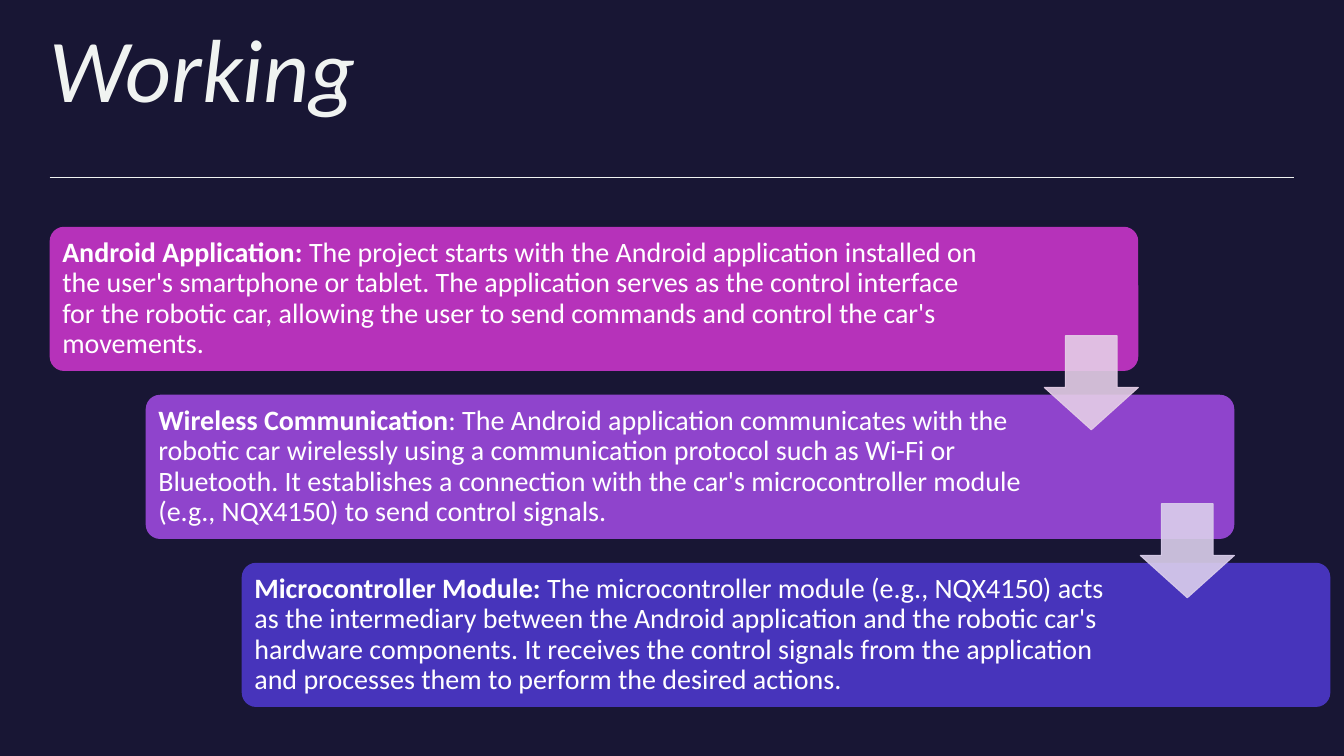
from lxml import etree
from pptx import Presentation
from pptx.dml.color import RGBColor
from pptx.enum import shapes, text
from pptx.oxml.ns import qn
from pptx.util import Pt

NIGHT = RGBColor(0x18, 0x16, 0x34)
IVORY = RGBColor(0xF0, 0xF3, 0xF1)
WHITE = RGBColor(0xFF, 0xFF, 0xFF)
MAGENTA = RGBColor(0xB6, 0x32, 0xBA)
PURPLE = RGBColor(0x8F, 0x44, 0xCC)
INDIGO = RGBColor(0x47, 0x34, 0xBB)
PINK_TINT = RGBColor(0xE5, 0xCE, 0xE7)
LILAC_TINT = RGBColor(0xDB, 0xCF, 0xEC)

CARD_WIDTH, CARD_HEIGHT = 777.6, 103
STEP_RIGHT, STEP_DOWN = 68.6, 120
ARROW_SIZE, ARROW_DROP = 67.2, 77.8

STEPS = [
    (MAGENTA, 666.7, "Android Application: ",
     "The project starts with the Android application installed on the user's "
     "smartphone or tablet. The application serves as the control interface for "
     "the robotic car, allowing the user to send commands and control the car's "
     "movements."),
    (PURPLE, 635.8, "Wireless Communication",
     ": The Android application communicates with the robotic car wirelessly "
     "using a communication protocol such as Wi-Fi or Bluetooth. It establishes "
     "a connection with the car's microcontroller module (e.g., NQX4150) to send "
     "control signals."),
    (INDIGO, 635.8, "Microcontroller Module:",
     " The microcontroller module (e.g., NQX4150) acts as the intermediary between "
     "the Android application and the robotic car's hardware components. It "
     "receives the control signals from the application and processes them to "
     "perform the desired actions."),
]


def write(frame, *spans, size, color, italic=False, inset=0,
          anchor=text.MSO_ANCHOR.TOP):
    """Fill a text frame with one paragraph of (words, bold) spans."""
    frame.word_wrap = True
    frame.auto_size = text.MSO_AUTO_SIZE.NONE
    frame.vertical_anchor = anchor
    frame.margin_left = frame.margin_right = Pt(inset)
    frame.margin_top = frame.margin_bottom = Pt(inset)
    para = frame.paragraphs[0]
    para.alignment = text.PP_ALIGN.LEFT
    para.line_spacing = 0.9
    para.space_before = Pt(0)
    for words, bold in spans:
        span = para.add_run()
        span.text = words
        span.font.name = "Calibri"
        span.font.size = Pt(size)
        span.font.bold = bold
        span.font.italic = italic
        span.font.color.rgb = color


def set_opacity(fill_format, percent):
    """Make a solid fill partly transparent."""
    for color in fill_format.iter(qn("a:srgbClr")):
        etree.SubElement(color, qn("a:alpha")).set("val", str(percent * 1000))


def add_header(page, left, top, width, height):
    """Place the title and the rule under it."""
    title = page.shapes.title
    title.left, title.top = Pt(left), Pt(top)
    title.width, title.height = Pt(width), Pt(78)
    write(title.text_frame, ("Working", False), size=64, color=IVORY, italic=True)
    rule = page.shapes.add_connector(
        shapes.MSO_CONNECTOR.STRAIGHT, Pt(left), Pt(top + height),
        Pt(left + width), Pt(top + height))
    rule.line.color.rgb = IVORY
    rule.line.width = Pt(0.5)
    etree.SubElement(rule._element.spPr, qn("a:effectLst"))


def add_card(page, left, top, color, text_width, heading, body):
    """Place one rounded step card and its text."""
    card = page.shapes.add_shape(
        shapes.MSO_SHAPE.ROUNDED_RECTANGLE, Pt(left), Pt(top),
        Pt(CARD_WIDTH), Pt(CARD_HEIGHT))
    card.adjustments[0] = 0.1
    card.shadow.inherit = False
    card.fill.solid()
    card.fill.fore_color.rgb = color
    card.line.fill.background()
    pad = 3
    box = page.shapes.add_textbox(
        Pt(left + pad), Pt(top + pad), Pt(text_width), Pt(CARD_HEIGHT - 2 * pad))
    write(box.text_frame, (heading, True), (body, False), size=20, color=WHITE,
          inset=6, anchor=text.MSO_ANCHOR.MIDDLE)


def add_arrow(page, left, top, color):
    """Place one translucent arrow leading to the next card."""
    arrow = page.shapes.add_shape(
        shapes.MSO_SHAPE.DOWN_ARROW, Pt(left), Pt(top),
        Pt(ARROW_SIZE), Pt(ARROW_SIZE))
    arrow.adjustments[0] = 0.55
    arrow.adjustments[1] = 0.45
    arrow.shadow.inherit = False
    arrow.fill.solid()
    arrow.fill.fore_color.rgb = color
    arrow.line.color.rgb = color
    arrow.line.width = Pt(0.75)
    set_opacity(arrow._element.spPr, 90)


def add_staircase(page, left, top):
    """Place the stepped cards, then the arrows over their right ends."""
    for index, step in enumerate(STEPS):
        add_card(page, left + index * STEP_RIGHT, top + index * STEP_DOWN, *step)
    for index, color in enumerate((PINK_TINT, LILAC_TINT)):
        add_arrow(page, left + index * STEP_RIGHT + CARD_WIDTH - ARROW_SIZE,
                  top + index * STEP_DOWN + ARROW_DROP, color)


def main():
    """Build and save the deck."""
    deck = Presentation()
    deck.slide_width, deck.slide_height = Pt(960), Pt(540)
    page = deck.slides.add_slide(deck.slide_layouts[5])
    page.background.fill.solid()
    page.background.fill.fore_color.rgb = NIGHT
    add_header(page, 35.5, 18, 889, 108.7)
    add_staircase(page, 35.5, 162)
    deck.save("out.pptx")


if __name__ == "__main__":
    main()
